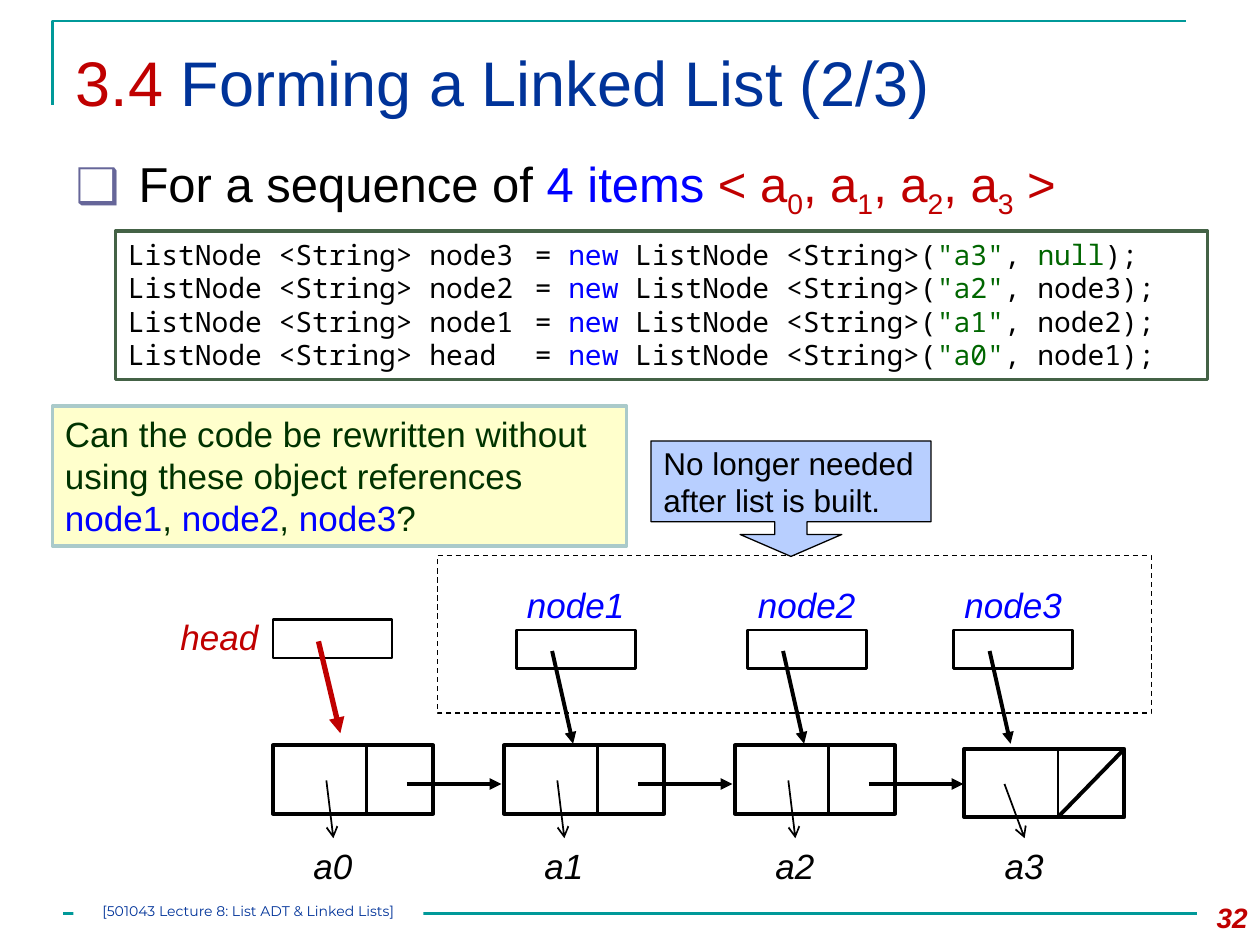
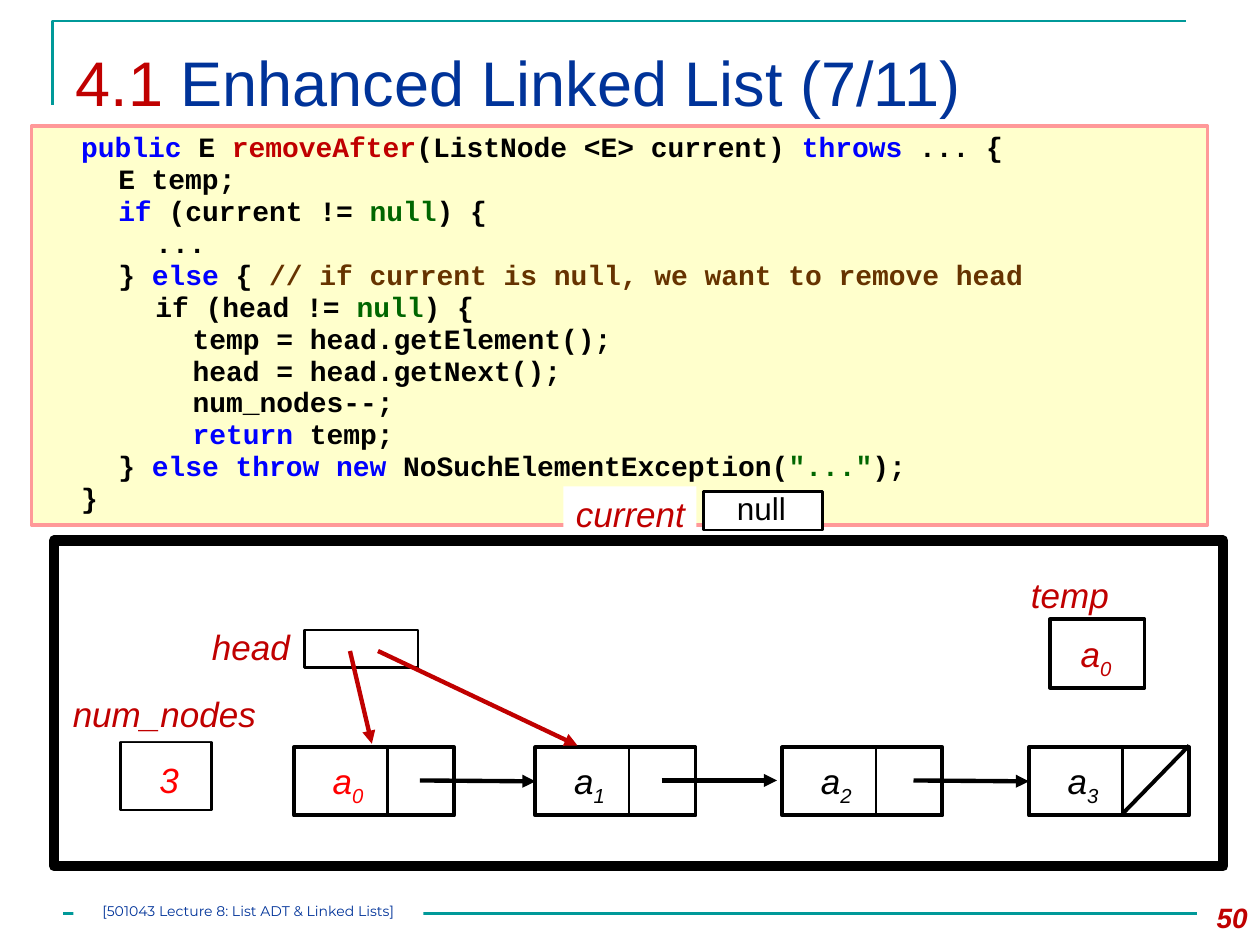
from dataclasses import dataclass

from lxml import etree
from pptx import Presentation
from pptx.dml.color import RGBColor
from pptx.enum import dml, shapes, text
from pptx.oxml import ns
from pptx.util import Pt


@dataclass(frozen=True)
class Theme:
    sans: str = "Arial"
    mono: str = "Noto Sans Mono"
    typewriter: str = "Courier New"
    footer_font: str = "Montserrat"
    title_size: int = 36
    body_size: int = 28
    label_size: int = 20
    note_size: int = 18
    code_size: int = 16
    footer_size: int = 8
    black: str = "000000"
    white: str = "FFFFFF"
    teal: str = "009999"
    navy: str = "003399"
    red: str = "C00000"
    bright_red: str = "FF0000"
    blue: str = "0000FF"
    green: str = "006600"
    dark_green: str = "003300"
    brown: str = "663300"
    bullet: str = "666699"
    cream: str = "FFFFCC"
    pink: str = "FF9999"
    moss: str = "446246"
    mist: str = "AACACA"
    sky: str = "B8CFFF"


T = Theme()
SUB = -25

# A paragraph is a string or a list of spans; a span is a string or (text, colour, baseline).
FOOTER = "[501043 Lecture 8: List ADT & Linked Lists]"


def subscripted(letter, index, colour):
    return [(letter, colour), (index, colour, SUB)]


FORMING = {
    "title": [("3.4 ", T.red), "Forming a Linked List (2/3)"],
    "number": "32",
    "body": ["For a sequence of ", ("4 items ", T.blue), ("<", T.red),
             *subscripted(" a", "0", T.red), *subscripted(", a", "1", T.red),
             *subscripted(", a", "2", T.red), *subscripted(", a", "3", T.red), (" >", T.red)],
    "assignments": [("node3", "a3", ("null", T.green)), ("node2", "a2", "node3"),
                    ("node1", "a1", "node2"), ("head", "a0", "node1")],
    "question": ["Can the code be rewritten without using these object references ",
                 ("node1", T.blue), ", ", ("node2", T.blue), ", ", ("node3", T.blue), "?"],
    "callout": "No longer needed \vafter list is built.",
    # item, cell left, cell top, reference name, reference left
    "nodes": [("a0", 156, 426, None, None), ("a1", 288, 426, "node1", 295),
              ("a2", 420, 426, "node2", 427), ("a3", 551, 428, "node3", 545)],
}

ENHANCED = {
    "title": [("4.1 ", T.red), "Enhanced Linked List (7/11)"],
    "number": "50",
    # tab depth, spans
    "code": [
        (1, [("public", T.blue), " E ", ("removeAfter", T.red), "(ListNode <E> current) ",
             ("throws", T.blue), " ... {"]),
        (2, ["E temp;"]),
        (2, [("if ", T.blue), "(current != ", ("null", T.green), ") {"]),
        (3, ["..."]),
        (2, ["} ", ("else ", T.blue), "{ ",
             ("// if current is null, we want to remove head", T.brown)]),
        (3, ["if (head != ", ("null", T.green), ") {"]),
        (4, ["temp = head.getElement();"]),
        (4, ["head = head.getNext();"]),
        (4, ["num_nodes--;"]),
        (4, [("return", T.blue), " temp;"]),
        (2, ["} ", ("else throw new ", T.blue), "NoSuchElementException(",
             ('"..."', T.green), ");"]),
        (1, ["}"]),
    ],
    "nodes": [("0", 168, T.bright_red), ("1", 306, T.black),
              ("2", 447, T.black), ("3", 588, T.black)],
    "links": [(240, 306), (378, 444), (522, 588)],
}

CELL_W, CELL_H, DIVIDER = 91.5, 39, 53.5
REF_W, REF_H = 68, 22


def rgb(value):
    return RGBColor.from_string(value)


def write(frame, paragraphs, size, colour=T.black, font=T.sans, bold=False, italic=False,
          align=text.PP_ALIGN.LEFT, spacing=None, tabs=()):
    for i, content in enumerate(paragraphs):
        para = frame.paragraphs[0] if i == 0 else frame.add_paragraph()
        para.alignment = align
        if spacing:
            para.line_spacing = spacing
        if tabs:
            stops = etree.SubElement(para._p.get_or_add_pPr(), ns.qn("a:tabLst"))
            for stop in tabs:
                etree.SubElement(stops, ns.qn("a:tab"), pos=str(Pt(stop)), algn="l")
        spans = [s if isinstance(s, tuple) else (s,)
                 for s in ([content] if isinstance(content, str) else content)]
        if isinstance(content, str):
            para.text = content
        else:
            for span in spans:
                para.add_run().text = span[0]
        for j, run in enumerate(para.runs):
            _, shade, baseline = (*spans[min(j, len(spans) - 1)], None, None)[:3]
            run.font.name, run.font.size = font, Pt(size)
            run.font.bold, run.font.italic = bold, italic
            run.font.color.rgb = rgb(shade or colour)
            if baseline:
                run.font._element.set("baseline", str(baseline * 1000))


def prepare(frame, wrap=True, anchor=text.MSO_ANCHOR.TOP):
    frame.word_wrap = wrap
    frame.auto_size = text.MSO_AUTO_SIZE.NONE
    frame.vertical_anchor = anchor
    return frame


def place(shape, x, y, w, h):
    shape.left, shape.top, shape.width, shape.height = Pt(x), Pt(y), Pt(w), Pt(h)


def box(page, x, y, w, h, fill=None, line=None, width=1.5, kind=shapes.MSO_SHAPE.RECTANGLE):
    shape = page.shapes.add_shape(kind, Pt(x), Pt(y), Pt(w), Pt(h))
    shape.shadow.inherit = False
    if fill:
        shape.fill.solid()
        shape.fill.fore_color.rgb = rgb(fill)
    else:
        shape.fill.background()
    if line:
        shape.line.color.rgb, shape.line.width = rgb(line), Pt(width)
    else:
        shape.line.fill.background()
    prepare(shape.text_frame)
    return shape


def label(page, x, y, w, h, content, colour=T.black, size=T.label_size, italic=True, fill=None,
          **style):
    shape = box(page, x, y, w, h, fill)
    shape.text_frame.word_wrap = False
    write(shape.text_frame, [content], size, colour, italic=italic, **style)
    return shape


def line(page, x1, y1, x2, y2, colour=T.black, width=1.5, head=None):
    connector = page.shapes.add_connector(shapes.MSO_CONNECTOR.STRAIGHT,
                                          Pt(x1), Pt(y1), Pt(x2), Pt(y2))
    connector.line.color.rgb, connector.line.width = rgb(colour), Pt(width)
    properties = connector.element.spPr
    if head:
        etree.SubElement(properties.find(ns.qn("a:ln")), ns.qn("a:tailEnd"), type=head)
    etree.SubElement(properties, ns.qn("a:effectLst"))
    return connector


def cell(page, x, y):
    """Draw a list node: item part, divider, next part."""
    shape = box(page, x, y, CELL_W, CELL_H, T.white, T.black, 2.25)
    line(page, x + DIVIDER, y - 1, x + DIVIDER, y + CELL_H)
    return shape


def null_slash(page, x, y):
    line(page, x + CELL_W, y, x + DIVIDER, y + CELL_H, width=2.25)


def start_page(deck, layout, content):
    page = deck.slides.add_slide(deck.slide_layouts[layout])
    builder = page.shapes.build_freeform(Pt(30), Pt(60), scale=1.0)
    builder.add_line_segments([(Pt(30), Pt(12)), (Pt(678), Pt(12))], close=False)
    corner = builder.convert_to_shape()
    corner.shadow.inherit = False
    corner.fill.background()
    corner.line.color.rgb, corner.line.width = rgb(T.teal), Pt(1.5)
    line(page, 36, 522, 684, 522, T.teal)

    title = page.shapes.title
    place(title, 36, 18, 648, 62)
    frame = prepare(title.text_frame, anchor=text.MSO_ANCHOR.MIDDLE)
    frame.margin_bottom = Pt(9)
    write(frame, [content["title"]], T.title_size, T.navy)

    number = box(page, 672, 511, 48, 29)
    write(number.text_frame, [content["number"]], T.code_size, T.red, bold=True, italic=True,
          align=text.PP_ALIGN.RIGHT)
    footer = box(page, 42, 516, 200, 14.4, T.white)
    frame = footer.text_frame
    frame.margin_left = frame.margin_right = frame.margin_top = frame.margin_bottom = 0
    write(frame, [FOOTER], T.footer_size, T.navy, T.footer_font, align=text.PP_ALIGN.CENTER)
    return page


def write_bullet(page, content):
    body = page.placeholders[1]
    place(body, 36, 84, 648, 48)
    para = prepare(body.text_frame).paragraphs[0]
    para.space_before = Pt(0)
    properties = para._p.get_or_add_pPr()
    properties.set("marL", str(Pt(36)))
    properties.set("indent", str(-Pt(36)))
    shade = etree.SubElement(properties, ns.qn("a:buClr"))
    etree.SubElement(shade, ns.qn("a:srgbClr"), val=T.bullet)
    etree.SubElement(properties, ns.qn("a:buFont"), typeface=T.sans)
    etree.SubElement(properties, ns.qn("a:buChar"), char="❑")
    write(body.text_frame, [content], T.body_size)


def build_forming(deck):
    page = start_page(deck, 1, FORMING)
    write_bullet(page, FORMING["body"])

    code = box(page, 66, 132, 624, 85, T.white, T.moss, 2)
    write(code.text_frame,
          [[f"ListNode <String> {name}\t= ", ("new", T.blue), " ListNode <String>(",
            (f'"{item}"', T.green), ", ", following, ");"]
           for name, item, following in FORMING["assignments"]],
          T.code_size, font=T.mono, tabs=[232.5])

    dashed = box(page, 250, 317.5, 408, 90, line=T.black, width=0.75)
    dashed.line.dash_style = dml.MSO_LINE.DASH
    callout = box(page, 372, 252, 160, 66, T.sky, T.black, 0.75,
                  shapes.MSO_SHAPE.DOWN_ARROW_CALLOUT)
    for i, value in enumerate((0.28, 0.44, 0.19, 0.7)):
        callout.adjustments[i] = value
    prepare(callout.text_frame, wrap=False, anchor=text.MSO_ANCHOR.MIDDLE)
    write(callout.text_frame, [FORMING["callout"]], T.note_size)

    box(page, 156, 354, REF_W, REF_H, line=T.black)
    label(page, 96, 348, 59, 31, "head", T.red)
    line(page, 182, 366.5, 194.5, 419, T.red, 3, "triangle")

    last = FORMING["nodes"][-1]
    for node in FORMING["nodes"]:
        item, x, y, ref_name, ref_x = node
        cell(page, x, y)
        item_label = label(page, x + 16, 479, 37, 31.5, item, fill=T.white)
        pointer_x = x + (23 if node is last else 30.5)
        pointer = line(page, pointer_x, y + 20, x + 34.5, 479, width=1, head="arrow")
        pointer.end_connect(item_label, 0)
        if node is last:
            null_slash(page, x, y)
        else:
            line(page, x + 76.5, 448, x + 130.5, 448, width=2.25, head="triangle")
        if ref_name:
            box(page, ref_x, 360, REF_W, REF_H, line=T.black)
            line(page, ref_x + 20.5, 372, ref_x + 32.5, 425, width=2.25, head="triangle")
            label(page, ref_x - 1, 330, 70, 31, ref_name, T.blue)

    question = box(page, 30, 232, 328, 80, T.cream, T.mist, 2)
    write(question.text_frame, [FORMING["question"]], T.label_size, T.dark_green)


def build_enhanced(deck):
    page = start_page(deck, 5, ENHANCED)
    code = box(page, 18, 72, 672, 228, T.cream, T.pink, 2)
    write(code.text_frame, [["\t" * depth, *spans] for depth, spans in ENHANCED["code"]],
          T.code_size, font=T.typewriter, bold=True, spacing=0.95,
          tabs=[21.25 * i for i in range(1, 5)])

    label(page, 322, 278, 76, 31, "current", T.red, fill=T.white)
    box(page, 69, 424, 52, 39, T.white, T.black)
    label(page, 34.5, 392, 120, 31.5, "num_nodes", T.red, fill=T.white)
    label(page, 84, 430, 26, 31.5, "3", T.bright_red, fill=T.white)
    box(page, 31, 309, 668, 186, line=T.black, width=6)
    box(page, 174, 360, 65, 21.5, line=T.black)
    label(page, 114, 354, 59, 31, "head", T.red)

    y = 427
    cells = []
    for index, x, colour in ENHANCED["nodes"]:
        cells.append(cell(page, x, y))
        label(page, x + 15, 430.5, 33, 31.5, subscripted("a", index, colour))
    null_slash(page, ENHANCED["nodes"][-1][1], y - 1)
    for (start, end), target in zip(ENHANCED["links"], cells[1:]):
        arrow = line(page, start, 446, end, 446, width=2.5, head="triangle")
        if Pt(end) == target.left:
            arrow.end_connect(target, 1)

    box(page, 600, 354, 54, 39, line=T.black, width=2.25)
    label(page, 610.5, 358, 33, 31.5, subscripted("a", "0", T.red))
    label(page, 582, 324, 59, 31.5, "temp", T.red)
    box(page, 402, 281, REF_W, REF_H, T.white, T.black)
    label(page, 408, 276, 54, 29, "null", size=T.note_size, italic=False,
          align=text.PP_ALIGN.CENTER)
    for x1, x2, y2 in ((200, 212.5, 425), (216, 330, 426)):
        line(page, x1, 372, x2, y2, T.red, 2.5, "triangle")


def main():
    deck = Presentation()
    deck.slide_width, deck.slide_height = Pt(720), Pt(540)
    build_forming(deck)
    build_enhanced(deck)
    deck.save("out.pptx")


if __name__ == "__main__":
    main()
